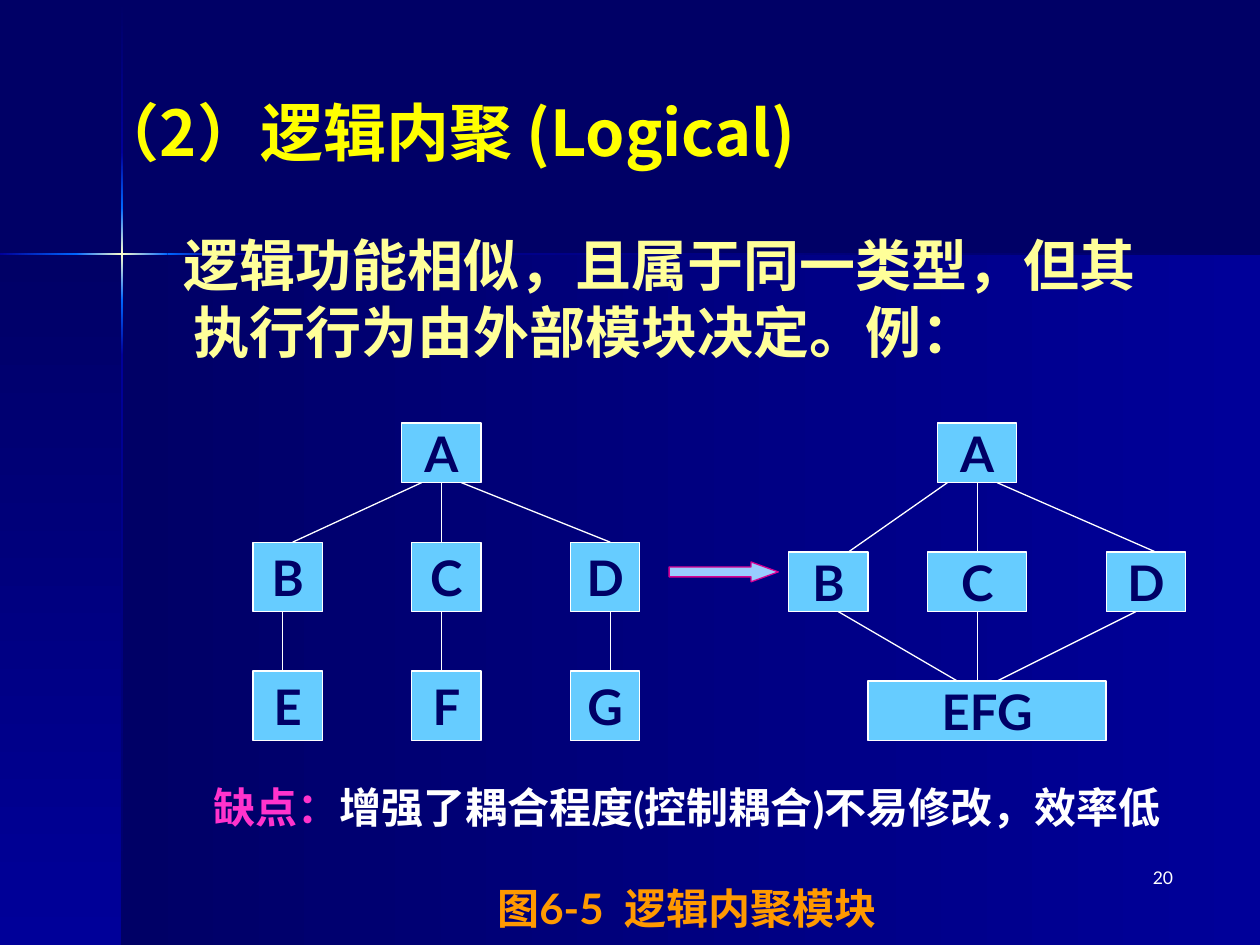
from copy import deepcopy

from lxml import etree
from pptx import Presentation
from pptx import util as u
from pptx.dml.color import RGBColor
from pptx.enum import shapes, text
from pptx.oxml.ns import qn

NAVY = RGBColor(0x00, 0x00, 0x66)
BLUE = RGBColor(0x00, 0x00, 0x99)
GLOW = RGBColor(0x00, 0x66, 0xFF)
CREAM = RGBColor(0xFF, 0xFF, 0xCC)
YELLOW = RGBColor(0xFF, 0xFF, 0x00)
PALE_YELLOW = RGBColor(0xFF, 0xFF, 0x99)
WHITE = RGBColor(0xFF, 0xFF, 0xFF)
PINK = RGBColor(0xFF, 0x33, 0xCC)
ORANGE = RGBColor(0xFF, 0x99, 0x00)
SKY = RGBColor(0x66, 0xCC, 0xFF)
ARROW_FILL = RGBColor(0x99, 0xCC, 0xFF)
MAGENTA = RGBColor(0xD6, 0x00, 0x93)

LEFT, CENTER, RIGHT = (text.PP_ALIGN.LEFT, text.PP_ALIGN.CENTER,
                       text.PP_ALIGN.RIGHT)
TOP, MIDDLE = text.MSO_ANCHOR.TOP, text.MSO_ANCHOR.MIDDLE
ACROSS, DOWN = 180, 270


def lengths(box):
    return [u.Cm(value) for value in box]


class SlideBuilder:
    """Holds the style and the current slide."""

    font = "Lato"
    title_font = "Noto Sans CJK SC"
    line_width = u.Pt(0.75)

    def __init__(self, slide):
        self.slide = slide
        slide.background.fill.solid()
        slide.background.fill.fore_color.rgb = NAVY

    def fill_text(self, frame, paragraphs, size, align=LEFT, anchor=TOP,
                  wrap=True, bold=True, font=None, gap=0):
        """Each paragraph is a list of (wording, colour) runs."""
        frame_format = {"word_wrap": wrap, "vertical_anchor": anchor,
                        "auto_size": text.MSO_AUTO_SIZE.NONE}
        for name, value in frame_format.items():
            setattr(frame, name, value)
        for index, runs in enumerate(paragraphs):
            paragraph = frame.add_paragraph() if index else frame.paragraphs[0]
            paragraph.alignment = align
            paragraph.space_before = u.Pt(gap if index else 0)
            for wording, colour in runs:
                run = paragraph.add_run()
                run.text = wording
                run_format = {"size": u.Pt(size), "bold": bold,
                              "name": font or self.font}
                for name, value in run_format.items():
                    setattr(run.font, name, value)
                run.font.color.rgb = colour
                east_asian = etree.SubElement(run._r.get_or_add_rPr(), qn("a:ea"))
                east_asian.set("typeface", run.font.name)

    def gradient(self, box, angle, colours):
        shape = self.slide.shapes.add_shape(
            shapes.MSO_SHAPE.RECTANGLE, *lengths(box))
        shape.shadow.inherit = False
        shape.line.fill.background()
        shape.fill.gradient()
        shape.fill.gradient_angle = angle
        stop_list = shape._element.spPr.find(".//" + qn("a:gsLst"))
        for _ in colours[2:]:
            stop_list.append(deepcopy(stop_list[-1]))
        for index, colour in enumerate(colours):
            stop = shape.fill.gradient_stops[index]
            stop.position = index / (len(colours) - 1)
            stop.color.rgb = colour

    def placeholder(self, index, box, paragraphs, size, **style):
        shape = self.slide.placeholders[index]
        shape.left, shape.top, shape.width, shape.height = lengths(box)
        # Bring it in front of the backdrop
        self.slide.shapes._spTree.append(shape._element)
        self.fill_text(shape.text_frame, paragraphs, size, **style)
        return shape

    def text_box(self, box, paragraphs, size, **style):
        shape = self.slide.shapes.add_textbox(*lengths(box))
        self.fill_text(shape.text_frame, paragraphs, size, **style)
        return shape

    def block(self, box, kind=shapes.MSO_SHAPE.RECTANGLE, fill=SKY, line=WHITE):
        shape = self.slide.shapes.add_shape(kind, *lengths(box))
        shape.shadow.inherit = False
        shape.fill.solid()
        shape.fill.fore_color.rgb = fill
        shape.line.color.rgb = line
        shape.line.width = self.line_width
        return shape

    def module(self, label, box):
        self.fill_text(self.block(box).text_frame, [[(label, NAVY)]], 28,
                       align=CENTER, anchor=MIDDLE, wrap=False)

    def line(self, *ends):
        connector = self.slide.shapes.add_connector(
            shapes.MSO_CONNECTOR.STRAIGHT, *lengths(ends))
        connector.line.color.rgb = WHITE
        connector.line.width = self.line_width
        etree.SubElement(connector._element.spPr, qn("a:effectLst"))


def main():
    presentation = Presentation()
    presentation.slide_width, presentation.slide_height = u.Cm(25.4), u.Cm(19.05)
    builder = SlideBuilder(
        presentation.slides.add_slide(presentation.slide_layouts[1]))

    # Backdrop: two panels, then the vertical and horizontal light rays
    backdrop = [
        ((2.46, 5.13, 22.94, 13.92), ACROSS, (BLUE, NAVY)),
        ((0, 5.13, 2.46, 13.92), DOWN, (NAVY, BLUE)),
        ((2.44, 0.03, 0.05, 3.04), DOWN, (NAVY, BLUE)),
        ((2.44, 7.16, 0.05, 11.89), DOWN, (BLUE, NAVY)),
        ((4.5, 5.1, 20.9, 0.05), ACROSS, (NAVY, BLUE)),
        ((2.44, 6.05, 0.05, 1.11), DOWN, (GLOW, BLUE)),
        ((2.44, 3.07, 0.05, 1.12), DOWN, (BLUE, GLOW)),
        ((2.44, 4.19, 0.05, 1.86), DOWN, (GLOW, CREAM, GLOW)),
        ((0, 5.1, 1.54, 0.05), ACROSS, (GLOW, BLUE)),
        ((3.38, 5.1, 1.12, 0.05), ACROSS, (BLUE, GLOW)),
        ((1.53, 5.1, 1.85, 0.05), ACROSS, (GLOW, CREAM, GLOW)),
    ]
    for box, angle, colours in backdrop:
        builder.gradient(box, angle, colours)

    # Title and definition
    builder.placeholder(0, (1.7, 0.91, 22.23, 3.48),
                        [[("（2）逻辑内聚 (Logical)", YELLOW)]], 36,
                        anchor=MIDDLE, font=builder.title_font)
    body = builder.placeholder(
        1, (2.69, 4.52, 20.96, 11.43),
        [[("逻辑功能相似，且属于同一类型，但其执行行为由外部模块决定。例：",
           PALE_YELLOW)]], 32)
    properties = body.text_frame.paragraphs[0]._p.get_or_add_pPr()
    properties.set("marL", str(u.Cm(0.95)))
    properties.set("indent", str(u.Cm(-0.2)))
    etree.SubElement(properties, qn("a:buNone"))

    # Drawback and caption
    notes = builder.text_box(
        (3.1, 15.32, 21.49, 3.73),
        [[("缺点：", PINK), ("增强了耦合程度(控制耦合)不易修改，效率低", WHITE)],
         [("图6-5  逻辑内聚模块", ORANGE)]],
        24, align=CENTER, anchor=MIDDLE, wrap=False, gap=29)
    notes.text_frame.margin_top = u.Cm(0.3)

    # Modules before merging: A over a grid of three columns
    root_top, root_width, low, high = 8.53, 1.6, 1.2, 1.4
    root_bottom = root_top + low
    row_tops = [root_bottom + 1.2, root_bottom + 1.2 + high + 1.2]
    builder.module("A", (8.1, root_top, root_width, low))
    for top, labels in zip(row_tops, ("BCD", "EFG")):
        for column, label in enumerate(labels):
            builder.module(label, (5.1 + 3.2 * column, top, high, high))

    # Modules after merging: E, F and G become one
    child_top = root_bottom + 1.4
    child_bottom = child_top + low
    merged_top = child_bottom + 1.4
    builder.module("A", (18.9, root_top, root_width, low))
    for label, left, width in (("B", 15.9, 1.6), ("C", 18.7, 2), ("D", 22.3, 1.6)):
        builder.module(label, (left, child_top, width, low))
    builder.module("EFG", (17.5, merged_top, 4.8, low))

    # Calls between levels: start and end across, per pair of levels
    levels = [
        (root_bottom, row_tops[0], ((8.5, 5.9), (8.9, 8.9), (9.3, 12.3))),
        (row_tops[0] + high, row_tops[1], ((5.7, 5.7), (8.9, 8.9), (12.3, 12.3))),
        (root_bottom, child_top, ((19.1, 17.1), (19.7, 19.7), (20.1, 23.3))),
        (child_bottom, merged_top, ((16.9, 19.3), (19.7, 19.7), (22.9, 20.1))),
    ]
    for upper, lower, calls in levels:
        for start, end in calls:
            builder.line(start, upper, end, lower)

    # Arrow from one structure to the other
    arrow = builder.block((13.49, 11.33, 2.2, 0.4),
                          shapes.MSO_SHAPE.RIGHT_ARROW, ARROW_FILL, MAGENTA)
    arrow.adjustments[0], arrow.adjustments[1] = 0.5, 1.37

    # Slide number
    builder.text_box((18.62, 17.35, 5.28, 1.27), [[("20", WHITE)]], 10,
                     align=RIGHT, bold=False)

    presentation.save("out.pptx")


if __name__ == "__main__":
    main()
